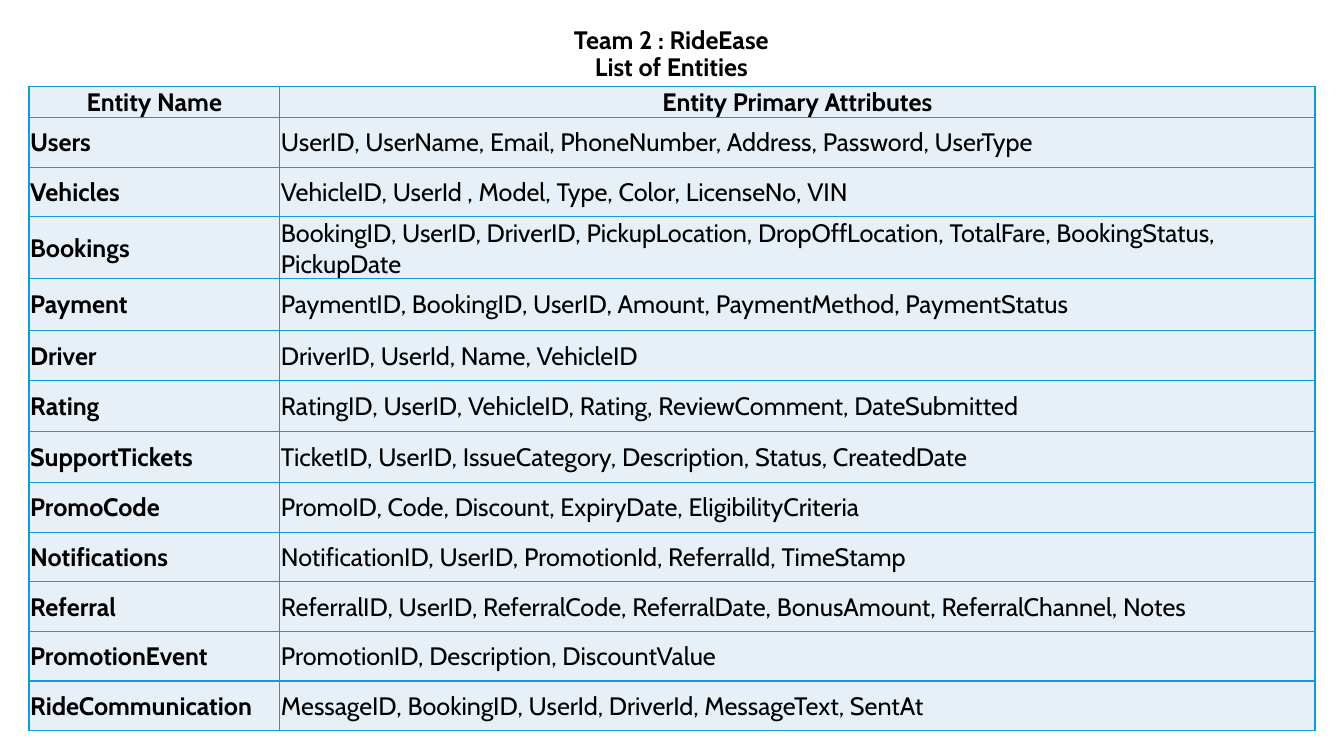
from lxml.etree import SubElement
from pptx import Presentation
from pptx.dml.color import RGBColor
from pptx.enum.text import MSO_ANCHOR, PP_ALIGN
from pptx.oxml.ns import qn
from pptx.util import Cm, Pt

TITLE = "Team 2 : RideEase\nList of Entities"
HEADINGS = ("Entity Name", "Entity Primary Attributes")
# Entity, attributes, row height in cm
ENTITIES = [
    ("Users", "UserID, UserName, Email, PhoneNumber, Address, Password, UserType", 1.25),
    ("Vehicles", "VehicleID, UserId , Model, Type, Color, LicenseNo, VIN", 1.25),
    ("Bookings", "BookingID, UserID, DriverID, PickupLocation, DropOffLocation, "
                 "TotalFare, BookingStatus, PickupDate", 1.53),
    ("Payment", "PaymentID, BookingID, UserID, Amount, PaymentMethod, PaymentStatus", 1.3),
    ("Driver", "DriverID, UserId, Name, VehicleID", 1.28),
    ("Rating", "RatingID, UserID, VehicleID, Rating, ReviewComment, DateSubmitted", 1.28),
    ("SupportTickets", "TicketID, UserID, IssueCategory, Description, Status, CreatedDate", 1.28),
    ("PromoCode", "PromoID, Code, Discount, ExpiryDate, EligibilityCriteria", 1.25),
    ("Notifications", "NotificationID, UserID, PromotionId, ReferralId, TimeStamp", 1.25),
    ("Referral", "ReferralID, UserID, ReferralCode, ReferralDate, BonusAmount, "
                 "ReferralChannel, Notes", 1.25),
    ("PromotionEvent", "PromotionID, Description, DiscountValue", 1.25),
    ("RideCommunication", "MessageID, BookingID, UserId, DriverId, MessageText, SentAt", 1.25),
]
HEADING_HEIGHT = 0.79
COLUMN_WIDTHS = (6.32, 26.09)
TABLE_LEFT, TABLE_TOP = 0.73, 2.17


class Theme:
    font = "Cabin"
    size = Pt(18)
    text = RGBColor.from_string("000000")
    fill = RGBColor.from_string("E7F0F7")
    border = "0F9ED5"
    border_width = Pt(1)


def style_text(para, bold, align):
    para.alignment = align
    for span in para.runs:
        span.font.name = Theme.font
        span.font.size = Theme.size
        span.font.bold = bold
        span.font.color.rgb = Theme.text


def add_borders(cell):
    properties = cell._tc.get_or_add_tcPr()
    for position, side in enumerate(("a:lnL", "a:lnR", "a:lnT", "a:lnB")):
        line = SubElement(properties, qn(side), w=str(Theme.border_width))
        solid = SubElement(line, qn("a:solidFill"))
        SubElement(solid, qn("a:srgbClr"), val=Theme.border)
        properties.insert(position, line)


def fill_cell(cell, text, bold, align):
    cell.margin_left = cell.margin_right = cell.margin_top = Cm(0.03)
    cell.margin_bottom = 0
    cell.vertical_anchor = MSO_ANCHOR.MIDDLE
    cell.fill.solid()
    cell.fill.fore_color.rgb = Theme.fill
    add_borders(cell)
    cell.text_frame.text = text
    style_text(cell.text_frame.paragraphs[0], bold, align)


def add_title(page):
    box = page.shapes.add_textbox(Cm(7.09), Cm(0.63), Cm(19.66), Cm(1.57))
    frame = box.text_frame
    frame.word_wrap = True
    frame.vertical_anchor = MSO_ANCHOR.BOTTOM
    para = frame.paragraphs[0]
    para.text = TITLE
    para.line_spacing = 0.9
    style_text(para, True, PP_ALIGN.CENTER)


def add_entity_table(page):
    rows = [(*HEADINGS, HEADING_HEIGHT), *ENTITIES]
    table = page.shapes.add_table(
        len(rows), len(COLUMN_WIDTHS), Cm(TABLE_LEFT), Cm(TABLE_TOP),
        Cm(sum(COLUMN_WIDTHS)), Cm(sum(row[-1] for row in rows))).table
    table.horz_banding = False
    for column, width in zip(table.columns, COLUMN_WIDTHS):
        column.width = Cm(width)
    for row_index, (*texts, height) in enumerate(rows):
        heading = row_index == 0
        table.rows[row_index].height = Cm(height)
        for column_index, text in enumerate(texts):
            fill_cell(table.cell(row_index, column_index), text,
                      bold=heading or column_index == 0,
                      align=PP_ALIGN.CENTER if heading else PP_ALIGN.LEFT)


def main():
    deck = Presentation()
    deck.slide_width, deck.slide_height = Cm(33.87), Cm(19.05)
    page = deck.slides.add_slide(deck.slide_layouts[6])
    add_title(page)
    add_entity_table(page)
    deck.save("out.pptx")


if __name__ == "__main__":
    main()
